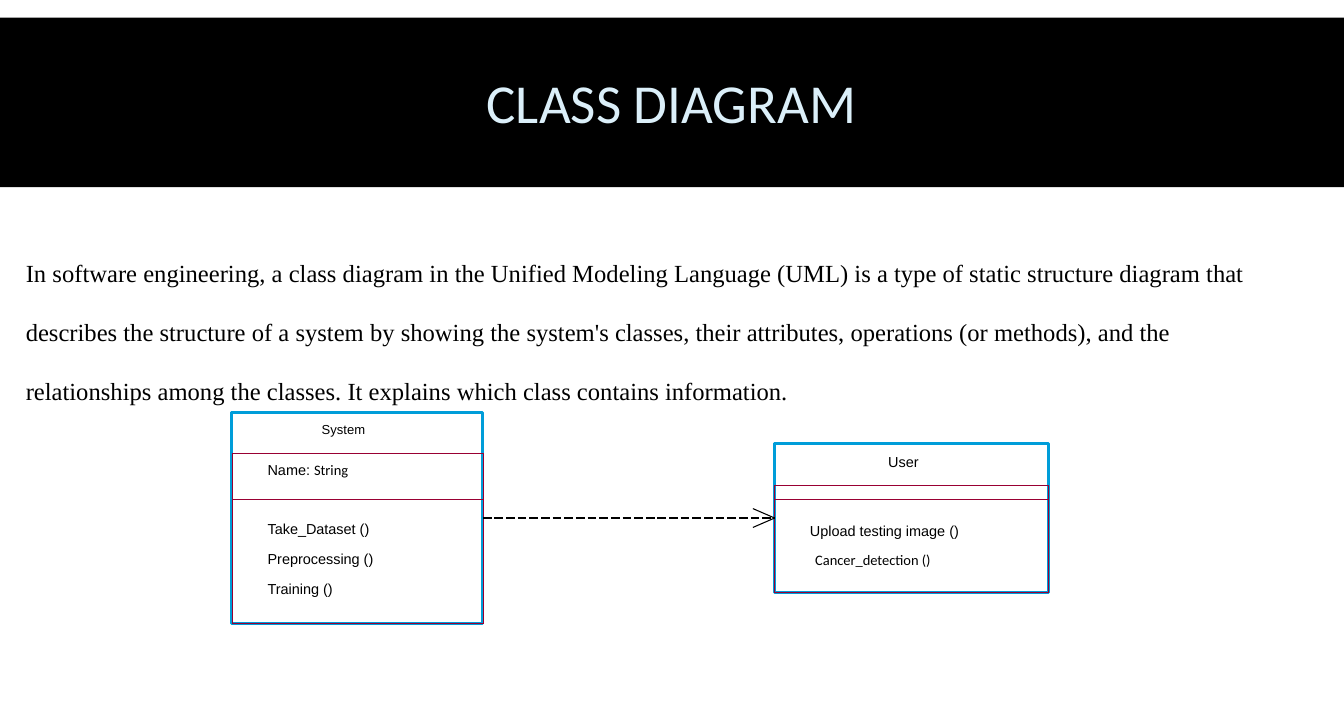
from dataclasses import dataclass

from lxml import etree
from pptx import Presentation
from pptx.dml.color import RGBColor
from pptx.enum import dml, shapes, text
from pptx.oxml.ns import qn
from pptx.util import Cm, Pt


@dataclass(frozen=True)
class Theme:
    black: RGBColor = RGBColor(0, 0, 0)
    white: RGBColor = RGBColor(255, 255, 255)
    pale: RGBColor = RGBColor.from_string("DBEFF9")
    blue: RGBColor = RGBColor.from_string("009DD9")
    wine: RGBColor = RGBColor.from_string("990033")
    head: Pt = Pt(38)
    body: Pt = Pt(17)
    label: Pt = Pt(10)
    small: Pt = Pt(9)


theme = Theme()
deck = Presentation()
deck.slide_width, deck.slide_height = Cm(32.79), Cm(17.3)
slide = deck.slides.add_slide(deck.slide_layouts[5])


def add_box(left, top, width, height, fill, line=None, weight=0):
    box = slide.shapes.add_shape(shapes.MSO_SHAPE.RECTANGLE,
                                 Cm(left), Cm(top), Cm(width), Cm(height))
    box.shadow.inherit = False
    if fill is None:
        box.fill.background()
    else:
        box.fill.solid()
        box.fill.fore_color.rgb = fill
    if line is None:
        box.line.fill.background()
    else:
        box.line.color.rgb = line
        box.line.width = Pt(weight)
    return box


def add_text(left, top, width, height, lines, size, space, inset=0):
    """Add a text box; each line is a list of (words, font name) runs."""
    box = slide.shapes.add_textbox(Cm(left), Cm(top), Cm(width), Cm(height))
    frame = box.text_frame
    frame.word_wrap = True
    frame.margin_left = frame.margin_right = Cm(inset)
    frame.margin_top = frame.margin_bottom = Cm(inset / 2)
    for i, runs in enumerate(lines):
        para = frame.add_paragraph() if i else frame.paragraphs[0]
        para.line_spacing = space
        for words, font in runs:
            run = para.add_run()
            run.text = words
            run.font.name, run.font.size = font, size
            run.font.color.rgb = theme.black


# Title on its black band
title = slide.shapes.title
band = add_box(0, 0.43, 32.79, 4.14, theme.black)
title.element.addprevious(band.element)
place = {"left": Cm(3.23), "top": Cm(0.71), "width": Cm(26.31), "height": Cm(3.81)}
for key, value in place.items():
    setattr(title, key, value)
title.text_frame.text = "CLASS DIAGRAM"
title.text_frame.vertical_anchor = text.MSO_ANCHOR.MIDDLE
para = title.text_frame.paragraphs[0]
para.alignment = text.PP_ALIGN.CENTER
para.line_spacing = 0.85
para.font.name, para.font.size = "Calibri", theme.head
para.font.color.rgb = theme.pale

# Definition
intro = [
    "In software engineering, a class diagram in the Unified Modeling Language (UML) is a type of static structure diagram that",
    "describes the structure of a system by showing the system's classes, their attributes, operations (or methods), and the",
    "relationships among the classes. It explains which class contains information.",
]
add_text(0.38, 5.44, 32, 5.33, [[(line, "Times New Roman")] for line in intro],
         theme.body, 2.0, 0.25)

# Classes: left, width, tops of the three sections, bottom, labels
# A label is left, top, size, runs
classes = [
    (5.66, 6.12, (10.06, 11.07, 12.17), 15.22, [
        (7.85, 10.24, theme.small, [("System", "Arial")]),
        (6.53, 11.18, theme.label, [("Name: ", "Arial"), ("String", "Calibri")]),
        (6.53, 12.62, theme.label, [("Take_Dataset ()", "Arial")]),
        (6.53, 13.35, theme.label, [("Preprocessing ()", "Arial")]),
        (6.53, 14.08, theme.label, [("Training ()", "Arial")]),
    ]),
    (18.9, 6.68, (10.82, 11.84, 12.19), 14.46, [
        (21.67, 11.0, theme.label, [("User", "Arial")]),
        (19.76, 12.67, theme.label, [("Upload testing image ()", "Arial")]),
        (19.89, 13.39, theme.label, [("Cancer_detection ()", "Calibri")]),
    ]),
]
frames = []
for left, width, tops, end, labels in classes:
    frames.append(add_box(left, tops[0], width, end - tops[0],
                          theme.white, theme.blue, 2))
    for top in tops[1:]:
        add_box(left, top, width, end - top, None, theme.wine, 0.25)
    for x, y, size, runs in labels:
        add_text(x, y, left + width - x, 0.75, [runs], size, 1.15)

# Association from System to User, with an open arrowhead
tip, mid = 18.9, 12.64
links = []
for x, y, weight in [(11.78, mid, 0), (tip - 0.53, mid + 0.23, 0.75),
                     (tip - 0.53, mid - 0.23, 0.75)]:
    link = slide.shapes.add_connector(shapes.MSO_CONNECTOR.STRAIGHT,
                                      Cm(x), Cm(y), Cm(tip), Cm(mid))
    link.line.color.rgb = theme.black
    link.line.width = Pt(weight)
    etree.SubElement(link.element.spPr, qn("a:effectLst"))
    links.append(link)
links[0].line.dash_style = dml.MSO_LINE.SQUARE_DOT
links[0].begin_connect(frames[0], 3)
links[0].end_connect(frames[1], 1)

deck.save("out.pptx")
